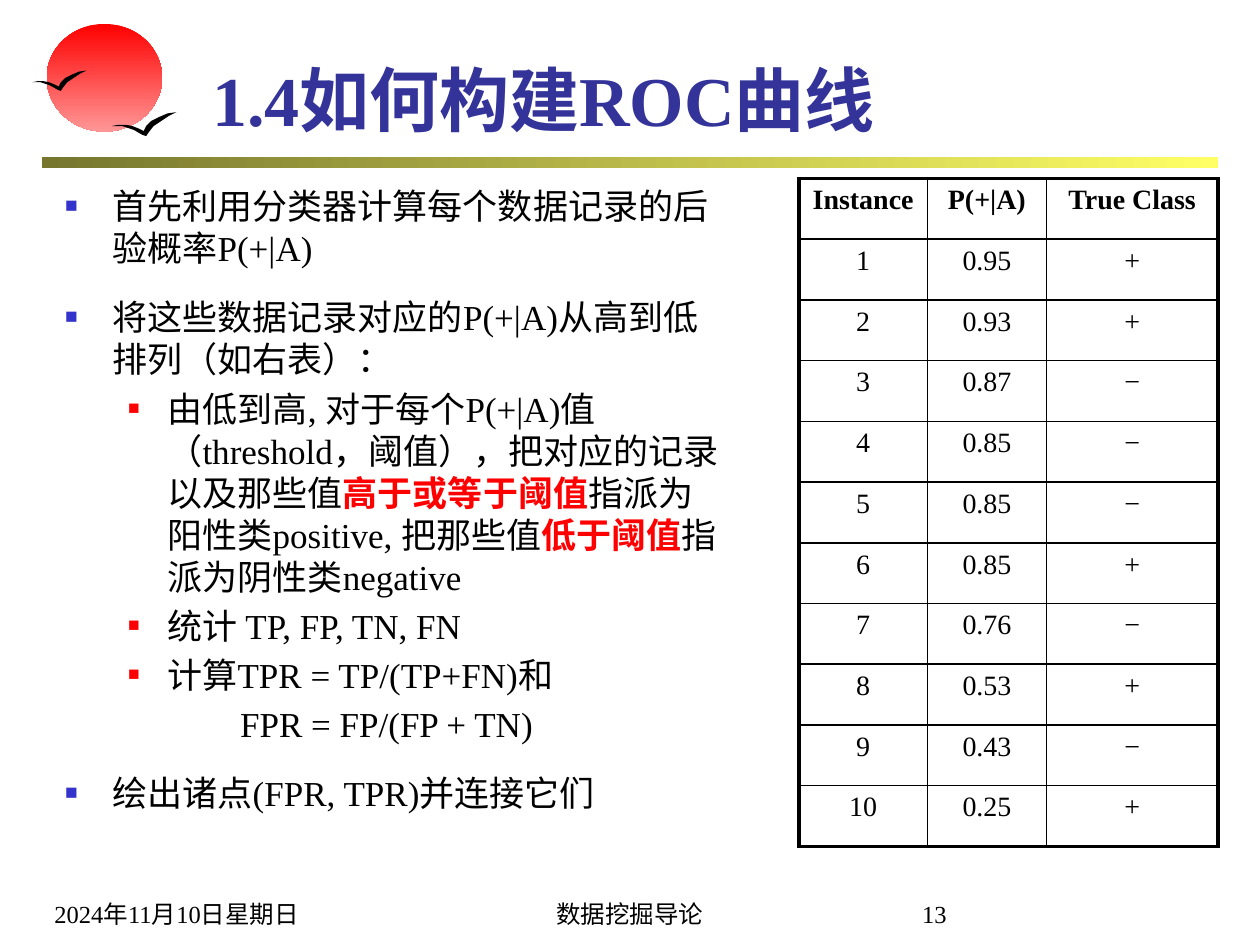
import pptx
import pptx.dml.color
import pptx.enum.shapes
import pptx.enum.text
import pptx.oxml
import pptx.oxml.ns
import pptx.util
from dataclasses import dataclass

Pt = pptx.util.Pt
Align = pptx.enum.text.PP_ALIGN
Anchor = pptx.enum.text.MSO_ANCHOR
Shape = pptx.enum.shapes.MSO_SHAPE


@dataclass(frozen=True)
class Theme:
    font: str = "Times New Roman"
    black: str = "000000"
    title: str = "333399"
    bullet: str = "3333CC"
    red: str = "FF0000"
    pink: str = "FF9797"
    olive: str = "76762F"
    yellow: str = "FFFF66"
    title_size: int = 40
    body_size: int = 20
    table_size: int = 16
    footer_size: int = 14


theme = Theme()


def rgb(value):
    return pptx.dml.color.RGBColor.from_string(value)


def style(paragraph, size, color=theme.black, bold=False, align=Align.LEFT):
    paragraph.alignment = align
    paragraph.font.name = theme.font
    paragraph.font.size = Pt(size)
    paragraph.font.bold = bold
    paragraph.font.color.rgb = rgb(color)


presentation = pptx.Presentation()
presentation.slide_width, presentation.slide_height = Pt(720), Pt(540)
slide = presentation.slides.add_slide(presentation.slide_layouts[1])

decorations = [
    (Shape.RECTANGLE, (24, 90, 672, 6), 0, (theme.olive, theme.yellow)),
    (Shape.OVAL, (26.7, 13.7, 66, 61.5), 270, (theme.red, theme.pink)),
]
for kind, box, angle, colors in decorations:
    shape = slide.shapes.add_shape(kind, *map(Pt, box))
    shape.shadow.inherit = False
    shape.line.fill.background()
    shape.fill.gradient()
    shape.fill.gradient_angle = angle
    for stop, color in zip(shape.fill.gradient_stops, colors):
        stop.color.rgb = rgb(color)

bird_outline = [
    (0, 11), (5, 10), (11, 10), (16, 11), (21, 13), (25, 15), (27, 11),
    (31, 7), (37, 4), (44, 1), (51, 0), (45, 3), (39, 7), (33, 11),
    (29, 16), (27, 19), (24, 18), (17, 14), (8, 11),
]
for left, top, scale in [(18.3, 40.3, 0.61), (64.1, 64.1, 0.72)]:
    builder = slide.shapes.build_freeform(*bird_outline[0], scale=Pt(scale))
    builder.add_line_segments(bird_outline[1:], close=True)
    bird = builder.convert_to_shape(Pt(left), Pt(top))
    bird.shadow.inherit = False
    bird.fill.solid()
    bird.fill.fore_color.rgb = rgb(theme.black)
    bird.line.fill.background()

footers = [
    ("2024年11月10日星期日", 24, 198, Align.LEFT),
    ("数据挖掘导论", 246, 228, Align.CENTER),
    ("13", 498, 72, Align.CENTER),
]
for text, left, width, align in footers:
    footer = slide.shapes.add_textbox(Pt(left), Pt(498), Pt(width), Pt(36))
    footer.text_frame.word_wrap = True
    footer.text_frame.vertical_anchor = Anchor.BOTTOM
    footer.text_frame.text = text
    style(footer.text_frame.paragraphs[0], theme.footer_size, align=align)

title = slide.shapes.title
title.left, title.top, title.width, title.height = map(Pt, (114, 24, 582, 60))
title.text_frame.text = "1.4如何构建ROC曲线"
title.text_frame.auto_size = pptx.enum.text.MSO_AUTO_SIZE.NONE
title.text_frame.vertical_anchor = Anchor.BOTTOM
style(title.text_frame.paragraphs[0], theme.title_size, theme.title, True)

body = slide.placeholders[1]
body.left, body.top, body.width, body.height = map(Pt, (30, 102, 392.5, 381))
body.text_frame.auto_size = pptx.enum.text.MSO_AUTO_SIZE.NONE
main = (0, 27, -27, theme.bullet, 60)
sub = (1, 58.5, -22.5, theme.red, 55)
formula = (0, 100, 0, None, None)
items = [
    (main, 0, ["首先利用分类器计算每个数据记录的后验概率P(+|A)"]),
    (main, 15.5, ["将这些数据记录对应的P(+|A)从高到低排列（如右表）："]),
    (sub, 4, [
        "由低到高, 对于每个P(+|A)值（threshold，阈值），把对应的记录以及那些值",
        "高于或等于阈值",
        "指派为阳性类positive, 把那些值",
        "低于阈值",
        "指派为阴性类negative",
    ]),
    (sub, 4, ["统计 TP, FP, TN, FN"]),
    (sub, 4, ["计算TPR = TP/(TP+FN)和"]),
    (formula, 4, ["FPR = FP/(FP + TN)"]),
    (main, 15.5, ["绘出诸点(FPR, TPR)并连接它们"]),
]
for index, (layout, gap, texts) in enumerate(items):
    level, margin, indent, color, percent = layout
    paragraph = body.text_frame.add_paragraph() if index else body.text_frame.paragraphs[0]
    paragraph.level = level
    paragraph.space_before = Pt(gap)
    properties = paragraph._p.get_or_add_pPr()
    properties.set("marL", str(Pt(margin)))
    properties.set("indent", str(Pt(indent)))
    if color:
        bullet_xml = (
            f'<a:buClr><a:srgbClr val="{color}"/></a:buClr>'
            f'<a:buSzPct val="{percent * 1000}"/>'
            f'<a:buFont typeface="{theme.font}"/><a:buChar char="■"/>'
        )
    else:
        bullet_xml = "<a:buNone/>"
    namespace = pptx.oxml.ns.nsdecls("a")
    for element in list(pptx.oxml.parse_xml(f"<a:pPr {namespace}>{bullet_xml}</a:pPr>")):
        properties.append(element)
    style(paragraph, theme.body_size)
    for position, text in enumerate(texts):
        run = paragraph.add_run()
        run.text = text
        if position % 2:
            run.font.bold = True
            run.font.color.rgb = rgb(theme.red)

probabilities = ["0.95", "0.93", "0.87", "0.85", "0.85", "0.85", "0.76", "0.53", "0.43", "0.25"]
classes = "++−−−+−+−+"
rows = [("Instance", "P(+|A)", "True Class")]
rows += [(str(number), *pair) for number, pair in enumerate(zip(probabilities, classes), 1)]
widths = [73.5, 68, 98]
row_height = 34.7
frame = slide.shapes.add_table(
    len(rows), len(widths), Pt(456.5), Pt(102), Pt(sum(widths)), Pt(row_height * len(rows))
)
table = frame.table
table.first_row = table.horz_banding = False
for column, width in zip(table.columns, widths):
    column.width = Pt(width)
for row_index, values in enumerate(rows):
    table.rows[row_index].height = Pt(row_height)
    for column_index, value in enumerate(values):
        cell = table.cell(row_index, column_index)
        cell.text = value
        style(cell.text_frame.paragraphs[0], theme.table_size, bold=row_index == 0, align=Align.CENTER)
        outer_sides = {
            "lnL": column_index == 0,
            "lnR": column_index == len(widths) - 1,
            "lnT": row_index == 0,
            "lnB": row_index == len(rows) - 1,
        }
        for side, outer in outer_sides.items():
            cell._tc.get_or_add_tcPr().append(pptx.oxml.parse_xml(
                f'<a:{side} {pptx.oxml.ns.nsdecls("a")} w="{Pt(2.25 if outer else 1)}">'
                f'<a:solidFill><a:srgbClr val="{theme.black}"/></a:solidFill></a:{side}>'
            ))
        cell.fill.background()

presentation.save("out.pptx")
